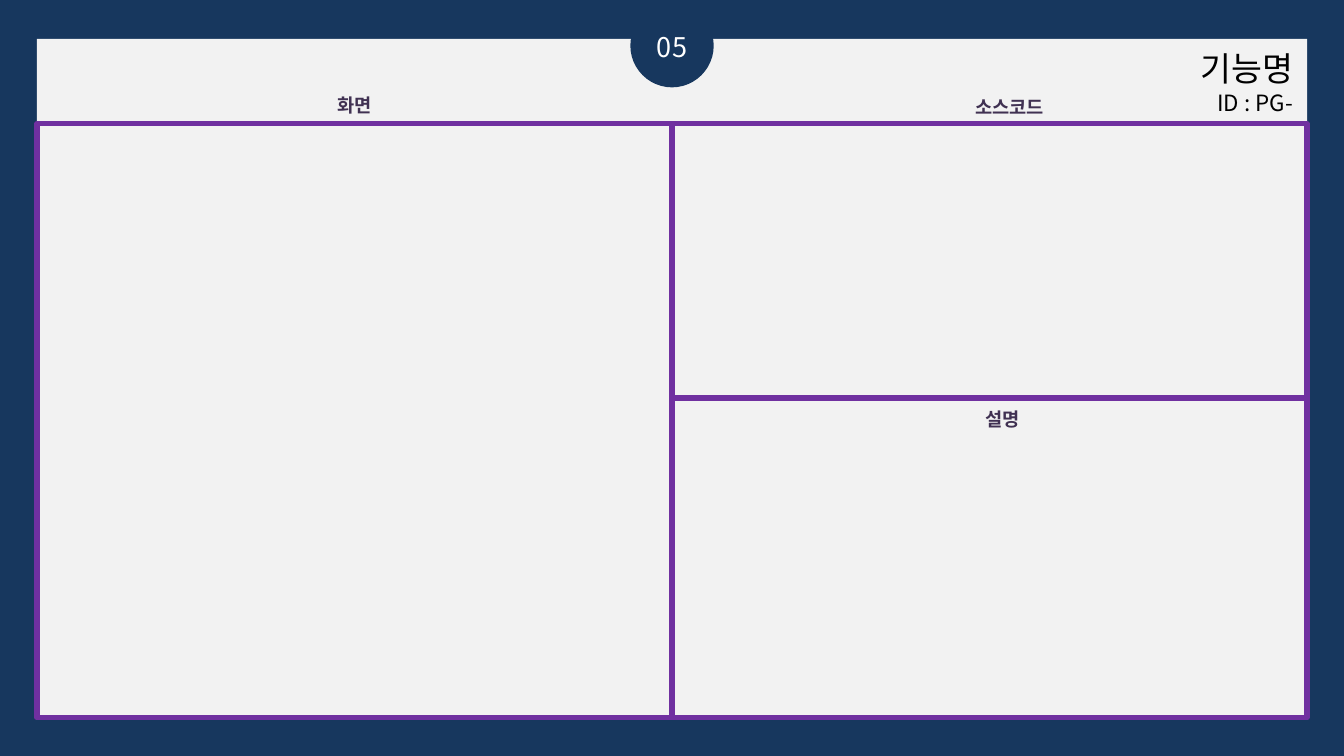
from pptx import Presentation
from pptx.dml.color import RGBColor
from pptx.enum.shapes import MSO_SHAPE
from pptx.enum.text import MSO_ANCHOR, MSO_AUTO_SIZE, PP_ALIGN
from pptx.oxml.ns import qn
from pptx.util import Inches, Pt
from lxml import etree

RECT, OVAL = MSO_SHAPE.RECTANGLE, MSO_SHAPE.OVAL
TOP, MIDDLE = MSO_ANCHOR.TOP, MSO_ANCHOR.MIDDLE
CENTER, RIGHT = PP_ALIGN.CENTER, PP_ALIGN.RIGHT
NO_FIT = MSO_AUTO_SIZE.NONE

FONT = "Noto Sans CJK KR"
COLORS = {"navy": "17375E", "sheet": "F2F2F2", "frame": "7030A0",
          "label": "403152", "white": "FFFFFF", "black": "000000"}

WIDTH = 10
HEIGHT = WIDTH * 9 / 16
MID = WIDTH / 2
SHEET_WIDTH = 9.45
COLUMN = SHEET_WIDTH / 2
MARGIN = MID - COLUMN
HEAD, SPLIT, BOTTOM = 0.92, 2.96, 5.34
LABEL_HEIGHT = 0.27


def rgb(name):
    return RGBColor.from_string(COLORS[name])


def box(*inches):
    return [Inches(v) for v in inches]


def add_filled(s, kind, at, color):
    sp = s.shapes.add_shape(kind, *box(*at))
    sp.shadow.inherit = False
    sp.fill.solid()
    sp.fill.fore_color.rgb = rgb(color)
    sp.line.fill.background()
    return sp


def add_frame(s, left, top, bottom):
    sp = s.shapes.add_shape(RECT, *box(left, top, COLUMN, bottom - top))
    sp.shadow.inherit = False
    sp.fill.background()
    sp.line.color.rgb = rgb("frame")
    sp.line.width = Pt(3)


def write(sp, lines, color, align, anchor=TOP, bold=False):
    """Fill a shape with (text, size) lines in one style."""
    tf = sp.text_frame
    tf.word_wrap = True
    tf.auto_size = NO_FIT
    tf.vertical_anchor = anchor
    tf.text = "\n".join(text for text, _ in lines)
    for p, (_, size) in zip(tf.paragraphs, lines):
        p.alignment = align
        p.font.size = Pt(size)
        p.font.bold = bold
        p.font.color.rgb = rgb(color)
        p.font.name = FONT
        # Korean glyphs take the East Asian typeface
        props = p._p.pPr.find(qn("a:defRPr"))
        etree.SubElement(props, qn("a:ea"), typeface=FONT)


def add_label(s, text, center, top, width):
    sp = s.shapes.add_textbox(*box(center - width / 2, top, width, LABEL_HEIGHT))
    write(sp, [(text, 10)], "label", CENTER, MIDDLE, bold=True)


def add_title(s, sheet):
    title = s.shapes.title
    title.left, title.top, title.width, title.height = box(7.52, 0.31, 2.2, 0.61)
    write(title, [("기능명", 18), ("ID : PG-", 12)], "black", RIGHT)
    sheet.element.addnext(title.element)  # bring it in front of the sheet


def add_page_number(s, number):
    size, width = 0.62, 0.72
    add_filled(s, OVAL, (MID - size / 2, 0.03, size, size), "navy")
    sp = s.shapes.add_textbox(*box(MID - width / 2, 0.18, width, 0.35))
    write(sp, [(number, 14.5)], "white", CENTER)


def main():
    prs = Presentation()
    prs.slide_width, prs.slide_height = box(WIDTH, HEIGHT)
    s = prs.slides.add_slide(prs.slide_layouts[5])
    s.background.fill.solid()
    s.background.fill.fore_color.rgb = rgb("navy")

    sheet = add_filled(s, RECT, (MARGIN, 0.29, SHEET_WIDTH, 5.03), "sheet")
    add_title(s, sheet)
    add_page_number(s, "05")

    for left, top, bottom in [(MARGIN, HEAD, BOTTOM),
                              (MID, HEAD, SPLIT),
                              (MID, SPLIT, BOTTOM)]:
        add_frame(s, left, top, bottom)

    left_center, right_center = MARGIN + COLUMN / 2, MID + COLUMN / 2
    add_label(s, "화면", left_center, 0.65, 0.68)
    add_label(s, "소스코드", right_center + 0.15, 0.66, 0.87)
    add_label(s, "설명", right_center + 0.1, 2.98, 0.68)

    prs.save("out.pptx")


if __name__ == "__main__":
    main()
